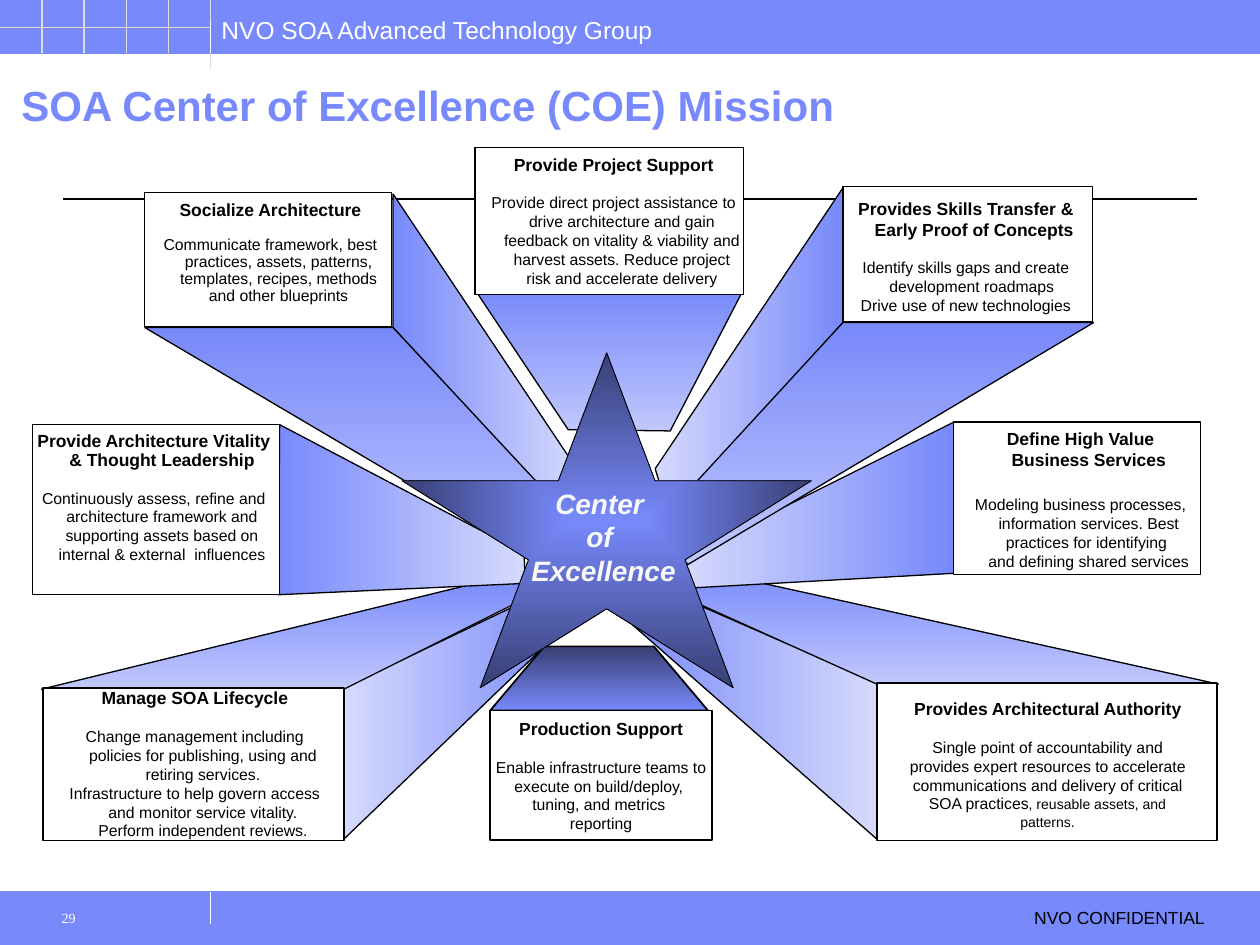
from dataclasses import dataclass

from lxml import etree
from pptx import Presentation
from pptx.dml.color import RGBColor
from pptx.enum.shapes import MSO_CONNECTOR, MSO_SHAPE
from pptx.enum.text import MSO_ANCHOR, PP_ALIGN
from pptx.oxml.ns import qn
from pptx.util import Inches, Pt

RECT, STAR = MSO_SHAPE.RECTANGLE, MSO_SHAPE.STAR_5_POINT
LINE = MSO_CONNECTOR.STRAIGHT
LEFT, MID = PP_ALIGN.LEFT, PP_ALIGN.CENTER
TOP, HALF, BASE = MSO_ANCHOR.TOP, MSO_ANCHOR.MIDDLE, MSO_ANCHOR.BOTTOM
BLUE, NAVY, PALE, MIST = "7889FB", "373F73", "C0C8FC", "D5DAFC"
BLACK, WHITE, GREY, SNOW = "000000", "FFFFFF", "DDDDDD", "F8F8F8"
WIDE, HIGH = Inches(10), Inches(7.5)
COLS, ROWS = 100, 75
DOWN, RIGHT = 270, 0
HANG = 1.3
STEM = 16.7


@dataclass
class Run:
    text: str
    size: float = 9
    bold: bool = False
    color: str = BLACK
    slant: bool = False
    font: str = "Arial"


@dataclass
class Line:
    runs: list[Run]
    gap: float = 0
    pitch: float = 1


@dataclass
class Facet:
    points: list[tuple[float, float]]
    first: str
    last: str
    angle: int
    weight: float = 0.75


@dataclass
class Panel:
    box: tuple[float, float, float, float]
    area: tuple[float, float, float, float]
    lines: list[Line]
    hang: float = HANG
    anchor: MSO_ANCHOR = TOP
    weight: float = 0.75


def col(n: float) -> int:
    return round(WIDE * n / COLS)


def row(n: float) -> int:
    return round(HIGH * n / ROWS)


def place(area: tuple) -> tuple:
    x, y, w, h = area
    return col(x), row(y), col(w), row(h)


def paint(part, color: str) -> None:
    part.solid()
    part.fore_color.rgb = RGBColor.from_string(color)


def blend(shape, first: str, last: str, angle: int) -> None:
    shape.fill.gradient()
    shape.fill.gradient_angle = angle
    for stop, color, spot in zip(shape.fill.gradient_stops, (first, last), (0, 1)):
        stop.color.rgb = RGBColor.from_string(color)
        stop.position = spot


def edge(shape, color: str, weight: float) -> None:
    shape.shadow.inherit = False
    paint(shape.line.fill, color)
    shape.line.width = Pt(weight)


def block(slide, area: tuple, fill: str, line: str, weight: float = 0.75) -> None:
    shape = slide.shapes.add_shape(RECT, *place(area))
    paint(shape.fill, fill)
    edge(shape, line, weight)


def rule(slide, start: tuple, end: tuple, color: str, weight: float = 0.75) -> None:
    link = slide.shapes.add_connector(
        LINE, col(start[0]), row(start[1]), col(end[0]), row(end[1]))
    paint(link.line.fill, color)
    link.line.width = Pt(weight)
    etree.SubElement(link._element.spPr, qn("a:effectLst"))


def wedge(slide, facet: Facet) -> None:
    spots = [(col(x), row(y)) for x, y in facet.points]
    pen = slide.shapes.build_freeform(*spots[0])
    pen.add_line_segments(spots[1:], close=True)
    shape = pen.convert_to_shape()
    blend(shape, facet.first, facet.last, facet.angle)
    edge(shape, BLACK, facet.weight)


def write(slide, area: tuple, lines: list[Line], align=LEFT, hang: float = 0,
          anchor=TOP, pad: tuple = (1, 0.5)) -> None:
    frame = slide.shapes.add_textbox(*place(area)).text_frame
    frame.word_wrap, frame.vertical_anchor = True, anchor
    frame.margin_left = frame.margin_right = col(pad[0])
    frame.margin_top = frame.margin_bottom = row(pad[1])
    for i, line in enumerate(lines):
        para = frame.paragraphs[0] if i == 0 else frame.add_paragraph()
        para.alignment, para.line_spacing = align, line.pitch
        if line.gap:
            para.space_before = Pt(line.gap)
        if hang:
            props = para._p.get_or_add_pPr()
            props.set("marL", str(col(hang)))
            props.set("indent", str(-col(hang)))
        for item in line.runs:
            for k, text in enumerate(item.text.split("\n")):
                if k:
                    para.add_line_break()
                run = para.add_run()
                run.text = text
                run.font.size, run.font.name = Pt(item.size), item.font
                run.font.bold, run.font.italic = item.bold, item.slant
                run.font.color.rgb = RGBColor.from_string(item.color)


def burst(slide, area: tuple) -> None:
    shape = slide.shapes.add_shape(STAR, *place(area))
    blend(shape, BLUE, NAVY, RIGHT)
    edge(shape, BLACK, 0.5)
    grad = shape._element.spPr.find(qn("a:gradFill"))
    grad.remove(grad.find(qn("a:lin")))
    route = etree.SubElement(grad, qn("a:path"), path="rect")
    etree.SubElement(route, qn("a:fillToRect"), l="50000", t="50000", r="50000", b="50000")


def copy(head: str, *body: str, gap: float = 10.5, top: float = 1, rest: float = 1) -> list[Line]:
    lines = [Line([Run(head, 10, True)], pitch=top)]
    return lines + [Line([Run(t)], 0 if i else gap, rest) for i, t in enumerate(body)]


FACETS = [
    Facet([(69.6, 66.6), (69.6, 54.2), (50.8, 46), (49.3, 48.8)], BLUE, MIST, RIGHT),
    Facet([(96.7, 54.3), (54.7, 45), (51.6, 46.2), (69.6, 54.3)], BLUE, PALE, DOWN),
    Facet([(27.3, 66.6), (27.3, 54.6), (44, 46.6), (45.3, 49.3)], MIST, BLUE, RIGHT),
    Facet([(3.3, 54.7), (40.6, 45.6), (43.3, 46.7), (27.3, 54.7)], BLUE, PALE, DOWN),
    Facet([(75.7, 33.5), (75.7, 45.5), (54.2, 46.7), (54.3, 44.2)], MIST, BLUE, RIGHT),
    Facet([(22.2, 33.7), (22.1, 47.2), (41.7, 46.3), (41.6, 43.9)], BLUE, MIST, RIGHT),
    Facet([(66.9, 14.9), (66.9, 25.6), (53.1, 40.8), (52, 37.2)], MIST, BLUE, RIGHT),
    Facet([(86.8, 25.6), (54.6, 44.8), (52, 41.8), (66.9, 25.6)], BLUE, PALE, DOWN),
    Facet([(37.7, 23), (45.1, 34.1), (53.2, 34.2), (59, 23)], BLUE, PALE, DOWN),
    Facet([(31.2, 15.4), (31.2, 26), (44.9, 40.8), (45.9, 37.4)], BLUE, MIST, RIGHT),
    Facet([(11.5, 26), (43.4, 44.8), (45.9, 41.8), (31.2, 26)], BLUE, PALE, DOWN),
    Facet([(56.2, 56.4), (38.9, 56.4), (43.2, 51.3), (51.9, 51.3)], NAVY, BLUE, DOWN, 1),
]

PANELS = [
    Panel((69.6, 54.2, 27, 12.5), (70.8, 54.9, 24.7, 11.5), [
        Line([Run("Provides Architectural Authority", 10, True)]),
        Line([Run("Single point of accountability and provides expert resources to accelerate "
                  "communications and delivery of critical SOA practices"),
              Run(", reusable assets, and patterns.", 8)], 10.5)], hang=0),
    Panel((3.4, 54.6, 23.9, 12.1), (4.2, 54.2, 22.5, 13.1), copy(
        "Manage SOA Lifecycle",
        "Change management including policies for publishing, using and retiring services.",
        "Infrastructure to help govern access and monitor service vitality. "
        "Perform independent reviews.", top=0.9)),
    Panel((66.9, 14.8, 19.8, 10.7), (66.6, 15.2, 20.1, 10.4), copy(
        "Provides Skills Transfer & Early Proof of Concepts",
        "Identify skills gaps and create development roadmaps ",
        "Drive use of new technologies")),
    Panel((11.5, 15.3, 19.6, 10.6), (11.4, 15.5, 20.1, 9.3), copy(
        "Socialize Architecture",
        "Communicate framework, best practices, assets, patterns, templates, recipes, "
        "methods and other blueprints", gap=9.3, top=0.9, rest=0.9)),
    Panel((37.7, 11.7, 21.3, 11.7), (37.5, 11.7, 22.4, 11.7), copy(
        "Provide Project Support",
        "Provide direct project assistance to drive architecture and gain feedback on "
        "vitality & viability and harvest assets. Reduce project risk and accelerate delivery")),
    Panel((2.6, 33.7, 19.6, 13.5), (1.7, 33.8, 21, 11.6), copy(
        "Provide Architecture Vitality & Thought Leadership",
        "Continuously assess, refine and architecture framework and supporting assets "
        "based on internal & external  influences", top=0.9)),
    Panel((75.7, 33.5, 19.6, 12.1), (75.7, 33.5, 20.1, 12.4), copy(
        "Define High Value Business Services",
        "Modeling business processes, information services. Best practices for "
        "identifying \nand defining shared services", gap=13.8)),
    Panel((38.9, 56.4, 17.6, 10.3), (37.7, 56.4, 20, 10.3), copy(
        "Production Support",
        "Enable infrastructure teams to\nexecute on build/deploy, \ntuning, and metrics "
        "\nreporting"), hang=0, anchor=HALF, weight=1),
]


def main() -> None:
    deck = Presentation()
    deck.slide_width, deck.slide_height = WIDE, HIGH
    slide = deck.slides.add_slide(deck.slide_layouts[6])
    for y in (70.8, 0):
        block(slide, (0, y, COLS, 4.2), BLUE, BLUE)
    write(slide, (16.6, 0.7, 40, 3.4),
          [Line([Run("NVO SOA Advanced Technology Group", 14, color=WHITE)])])
    rule(slide, (STEM, 73.3), (STEM, 70.8), WHITE)
    rule(slide, (5, 15.8), (95, 15.8), BLACK)
    for n in range(1, 6):
        x = STEM * n / 5
        rule(slide, (x, 5.5 if n == 5 else 4.2), (x, 0), GREY)
    rule(slide, (STEM, 2.2), (0, 2.2), GREY, 0.5)
    rule(slide, (STEM, 4.2), (STEM, 1.7), WHITE)
    write(slide, (81.1, 71.5, 17.2, 2.7), [Line([Run("NVO CONFIDENTIAL", 10)])])
    write(slide, (1.7, 5.9, 98.3, 4.9),
          [Line([Run("SOA Center of Excellence (COE) Mission", 24, True, BLUE)])],
          anchor=BASE, pad=(0, 0.5))
    for facet in FACETS:
        wedge(slide, facet)
    for panel in PANELS:
        block(slide, panel.box, WHITE, BLACK, panel.weight)
        write(slide, panel.area, panel.lines, MID, panel.hang, panel.anchor)
    burst(slide, (31.9, 28, 32.5, 26.6))
    write(slide, (39.1, 38.1, 17.6, 9),
          [Line([Run(t, 16, True, SNOW, True)]) for t in ("Center ", "of ", "Excellence")],
          MID, HANG)
    write(slide, (3.3, 71.5, 13.3, 3.5),
          [Line([Run("29", 8, color=WHITE, font="Times New Roman")])], pad=(1.6, 0.7))
    deck.save("out.pptx")


if __name__ == "__main__":
    main()
